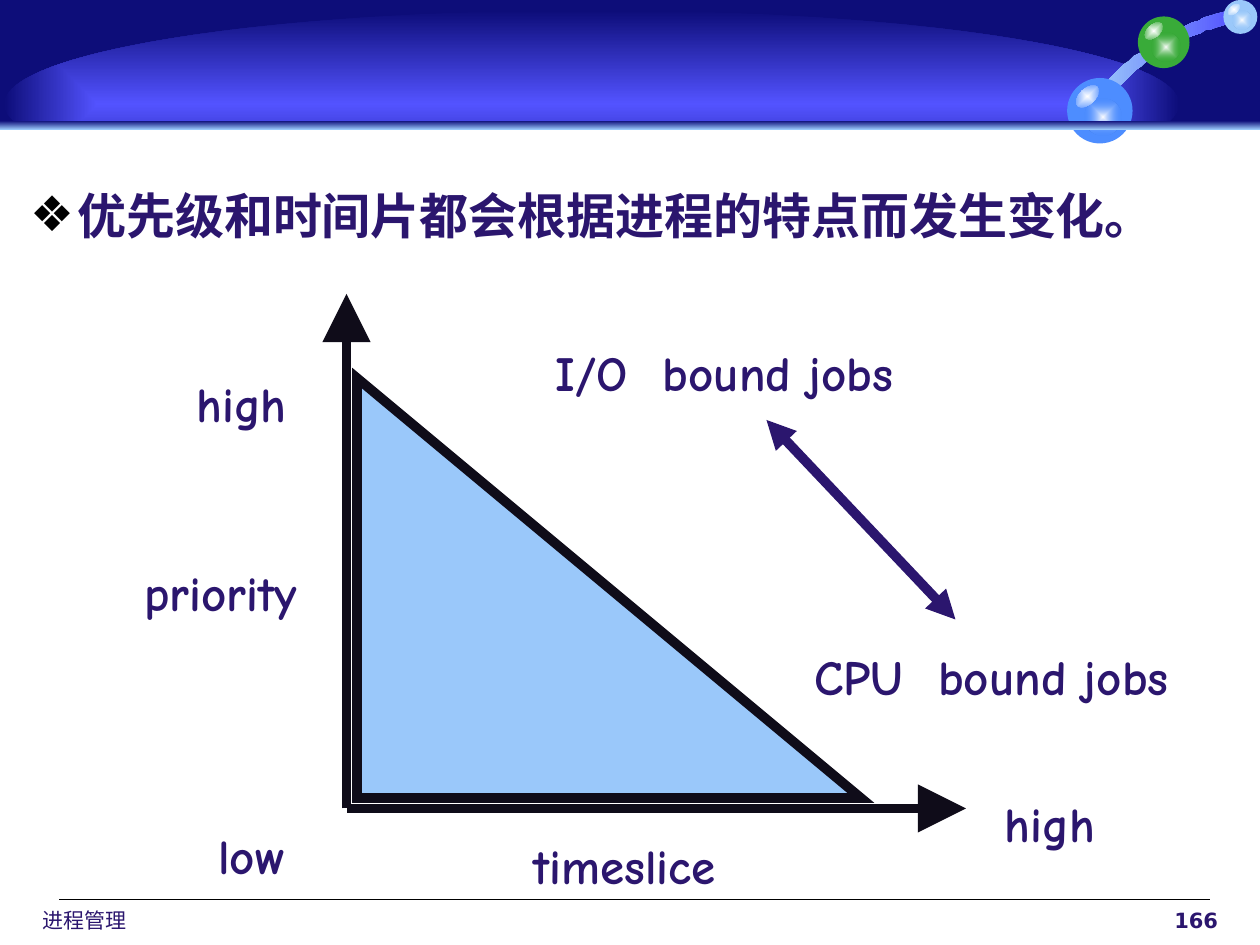
import pptx
import pptx.dml.color
import pptx.enum.shapes
import pptx.enum.text
import pptx.oxml
import pptx.oxml.ns
import pptx.util

Pt = pptx.util.Pt
RGBColor = pptx.dml.color.RGBColor
MSO_SHAPE = pptx.enum.shapes.MSO_SHAPE
PP_ALIGN = pptx.enum.text.PP_ALIGN

NAVY = RGBColor(0x0D, 0x0D, 0x79)
VIOLET = RGBColor(0x53, 0x53, 0xFF)
SKY = RGBColor(0x9A, 0xC8, 0xFA)
BLUE = RGBColor(0x4D, 0x8D, 0xFF)
GREEN = RGBColor(0x39, 0xAB, 0x39)
WHITE = RGBColor(0xFF, 0xFF, 0xFF)
BLACK = RGBColor(0, 0, 0)
AXIS = RGBColor(0x0F, 0x0C, 0x19)
INK = RGBColor(0x2B, 0x16, 0x6E)

SANS = "DejaVu Sans"
HAND = "Comic Neue"
STROKE = 5.5
RADIAL = ('<a:path path="shape"><a:fillToRect l="50000" t="50000" '
          'r="50000" b="50000"/></a:path>')
CENTRE_GLOW = (0.27, 0.32, 0.56, 0.56, 0, 0)
GLEAM = (0.1, 0.16, 0.42, 0.24, 317.2, 100)


def drawing_xml(tag, attributes="", content=""):
    return pptx.oxml.parse_xml(
        f'<a:{tag} {pptx.oxml.ns.nsdecls("a")} {attributes}>{content}</a:{tag}>')


def fill_gradient(shape, start, end, direction=RADIAL, end_alpha=100):
    """Fill from start to end; a radial direction starts at the centre."""
    stops = (
        f'<a:gs pos="0"><a:srgbClr val="{start}"/></a:gs>'
        f'<a:gs pos="100000"><a:srgbClr val="{end}">'
        f'<a:alpha val="{end_alpha * 1000}"/></a:srgbClr></a:gs>')
    gradient = drawing_xml("gradFill", 'rotWithShape="1"',
                           f"<a:gsLst>{stops}</a:gsLst>{direction}")
    shape.element.spPr.insert(2, gradient)


def linear(degrees):
    return f'<a:lin ang="{degrees * 60000}" scaled="0"/>'


def add_figure(slide, preset, left, top, width, height, fill=None):
    figure = slide.shapes.add_shape(preset, Pt(left), Pt(top), Pt(width), Pt(height))
    figure.shadow.inherit = False
    figure.line.fill.background()
    if fill is not None:
        figure.fill.solid()
        figure.fill.fore_color.rgb = fill
    return figure


def add_line(slide, start, end, color, width, head=None, tail=None, size="med"):
    line = slide.shapes.add_connector(
        pptx.enum.shapes.MSO_CONNECTOR.STRAIGHT, *map(Pt, start + end))
    line.line.color.rgb = color
    line.line.width = Pt(width)
    for end_tag, arrow in (("headEnd", head), ("tailEnd", tail)):
        if arrow:
            line.line._get_or_add_ln().append(drawing_xml(
                end_tag, f'type="{arrow}" w="{size}" len="{size}"'))
    line.element.spPr.append(drawing_xml("effectLst"))


def write_text(frame, text, size=28, font=HAND, bold=True, align=PP_ALIGN.LEFT):
    frame.word_wrap = True
    frame.auto_size = pptx.enum.text.MSO_AUTO_SIZE.NONE
    paragraph = frame.paragraphs[0]
    paragraph.alignment = align
    paragraph.space_before = Pt(0)
    run = paragraph.add_run()
    run.text = text
    run.font.size = Pt(size)
    run.font.name = font
    run.font.bold = bold
    run.font.color.rgb = INK
    return paragraph


def add_label(slide, text, left, top, width, height=41, **text_format):
    box = slide.shapes.add_textbox(Pt(left), Pt(top), Pt(width), Pt(height))
    write_text(box.text_frame, text, **text_format)


def add_sphere(slide, left, top, size, color):
    add_figure(slide, MSO_SHAPE.OVAL, left, top, size, size, color)
    for dx, dy, width, height, rotation, end_alpha in (CENTRE_GLOW, GLEAM):
        light = add_figure(slide, MSO_SHAPE.OVAL, left + dx * size, top + dy * size,
                           width * size, height * size)
        light.rotation = rotation
        fill_gradient(light, WHITE, color, end_alpha=end_alpha)


def curve_points(a, b, c, d, steps=12):
    """Points along a cubic Bezier curve, without its first point."""
    for step in range(1, steps + 1):
        t = step / steps
        u = 1 - t
        yield tuple(u**3 * p + 3 * u * u * t * q + 3 * u * t * t * r + t**3 * s
                    for p, q, r, s in zip(a, b, c, d))


def add_ribbon(slide):
    upper_start, lower_start = (699.8, 14.4), (626.4, 53.3)
    upper_middle, lower_middle = (665.3, 28.1), (662.4, 23)
    points = [
        *curve_points(upper_start, (689, 16.6), (676.8, 21.6), upper_middle),
        *curve_points(upper_middle, (653.8, 35.3), (643.7, 43.9), (637.2, 52.6)),
        lower_start,
        *curve_points(lower_start, (635, 42.5), (647.3, 31.7), lower_middle),
        *curve_points(lower_middle, (676.8, 13.7), (692.6, 7.9), (705.6, 5.8)),
    ]
    builder = slide.shapes.build_freeform(*upper_start, scale=Pt(1))
    builder.add_line_segments(points, close=True)
    ribbon = builder.convert_to_shape()
    ribbon.shadow.inherit = False
    ribbon.line.fill.background()
    fill_gradient(ribbon, SKY, VIOLET, linear(0))


def add_banner(slide):
    add_figure(slide, MSO_SHAPE.RECTANGLE, 0, 0, 720, 72, NAVY)
    dome = add_figure(slide, MSO_SHAPE.OVAL, 2.2, 5.8, 671.8, 107.3)
    fill_gradient(dome, VIOLET, NAVY)
    add_figure(slide, MSO_SHAPE.RECTANGLE, 0, 71.3, 720, 421.9, WHITE)
    add_ribbon(slide)
    add_sphere(slide, 650.2, 9.4, 29.5, GREEN)
    add_sphere(slide, 609.8, 44.6, 37.4, BLUE)
    add_sphere(slide, 699.1, 0, 19.4, SKY)
    edge = add_figure(slide, MSO_SHAPE.RECTANGLE, 0, 69.1, 720, 5)
    fill_gradient(edge, NAVY, SKY, linear(90))


def add_footer(slide):
    add_line(slide, (33.8, 514), (691.2, 514), BLACK, 0.75)
    add_label(slide, "进程管理", 17.3, 514.8, 190, 24, size=12, font=SANS, bold=False)
    add_label(slide, "166", 475.2, 514.8, 228, 24, size=12, font=SANS,
              align=PP_ALIGN.RIGHT)


def fill_statement(body, text):
    body.left, body.top, body.width, body.height = map(Pt, (10, 102.2, 702, 41))
    # Later in the tree means in front of the banner.
    body.element.getparent().append(body.element)
    properties = write_text(body.text_frame, text, font=SANS)._p.get_or_add_pPr()
    properties.set("marL", str(Pt(27)))
    properties.set("indent", str(Pt(-27)))
    properties.append(drawing_xml("buClr", content=f'<a:srgbClr val="{BLACK}"/>'))
    properties.append(drawing_xml("buFont", f'typeface="{SANS}"'))
    properties.append(drawing_xml("buChar", 'char="❖"'))


def add_priority_diagram(slide):
    origin = (198, 462)
    for axis_end in ((198, 168), (552, 462)):
        add_line(slide, origin, axis_end, AXIS, STROKE, tail="triangle", size="lg")
    area = add_figure(slide, MSO_SHAPE.RIGHT_TRIANGLE, 204, 216, 288, 240, SKY)
    area.line.color.rgb = AXIS
    area.line.width = Pt(STROKE)
    area.line._get_or_add_ln().append(drawing_xml("miter", 'lim="800000"'))
    for text, left, top, width in (
        ("low", 96, 468, 96),
        ("high", 90, 210, 96),
        ("high", 552, 450, 96),
        ("priority", 60, 318, 132),
        ("timeslice", 228, 474, 258),
        ("I/O  bound jobs", 264, 192, 300),
        ("CPU  bound jobs", 420, 366, 293),
    ):
        add_label(slide, text, left, top, width, align=PP_ALIGN.CENTER)
    add_line(slide, (438, 240), (546, 354), INK, STROKE,
             head="triangle", tail="triangle")


def main():
    deck = pptx.Presentation()
    deck.slide_width, deck.slide_height = Pt(720), Pt(540)
    slide = deck.slides.add_slide(deck.slide_layouts[1])
    title, body = slide.placeholders
    title.element.getparent().remove(title.element)
    add_banner(slide)
    add_footer(slide)
    fill_statement(body, "优先级和时间片都会根据进程的特点而发生变化。")
    add_priority_diagram(slide)
    deck.save("out.pptx")


if __name__ == "__main__":
    main()
